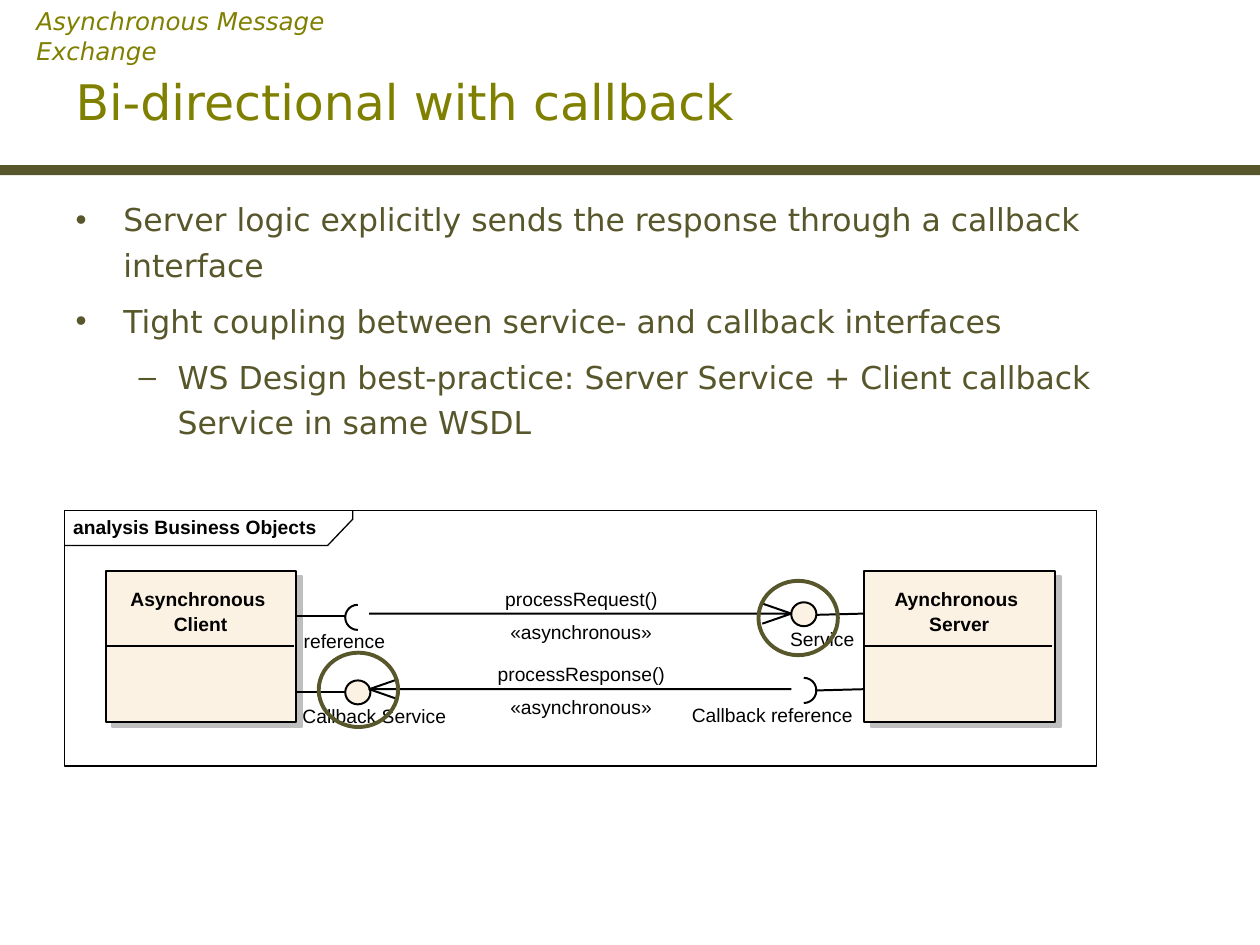
from lxml import etree
from pptx import Presentation
from pptx.dml.color import RGBColor
from pptx.enum.shapes import MSO_CONNECTOR, MSO_SHAPE
from pptx.enum.text import MSO_ANCHOR, MSO_AUTO_SIZE, PP_ALIGN
from pptx.oxml.ns import qn
from pptx.util import Inches, Pt

RECT, OVAL, ARC = MSO_SHAPE.RECTANGLE, MSO_SHAPE.OVAL, MSO_SHAPE.ARC
STRAIGHT = MSO_CONNECTOR.STRAIGHT
LEFT, TOP, MIDDLE = PP_ALIGN.LEFT, MSO_ANCHOR.TOP, MSO_ANCHOR.MIDDLE
NO_FIT, GROW = MSO_AUTO_SIZE.NONE, MSO_AUTO_SIZE.SHAPE_TO_FIT_TEXT

DARK, OLIVE, BLACK = "58572B", "808000", "000000"
CREAM, GREY = "FCF2E3", "C0BFC0"
THIN = 1.13
ARC_DEGREE = 0.6  # one degree in adjustment units
LABEL_SLACK = 0.04  # spare width that keeps a label on one line

TITLE_FONT = dict(name="DejaVu Sans", size=Pt(28), italic=False)
BODY_FONT = dict(name="DejaVu Sans", size=Pt(18))
TOPIC_FONT = dict(name="DejaVu Sans", size=Pt(14), italic=True)
LABEL_FONT = dict(name="Arial", size=Pt(11))

BULLETS = [
    (0, "Server logic explicitly sends the response through a callback interface"),
    (0, "Tight coupling between service- and callback interfaces"),
    (1, "WS Design best-practice: Server Service + Client callback Service in same WSDL"),
]
# level: bullet character, left margin, first-line indent
LEVELS = {0: ("•", 0.38, -0.38), 1: ("–", 0.81, -0.31)}


def rgb(color):
    return RGBColor.from_string(color)


def set_font(font, values, color):
    for key, value in values.items():
        setattr(font, key, value)
    font.color.rgb = rgb(color)


def place(s, x, y, w, h):
    s.left, s.top, s.width, s.height = (Inches(v) for v in (x, y, w, h))


def paint(s, fill=None, line=None, width=THIN):
    s.shadow.inherit = False
    if fill:
        s.fill.solid()
        s.fill.fore_color.rgb = rgb(fill)
    else:
        s.fill.background()
    if line:
        s.line.color.rgb = rgb(line)
        s.line.width = Pt(width)
    else:
        s.line.fill.background()
    return s


def shape(shapes, kind, x, y, w, h, **style):
    s = shapes.add_shape(kind, *(Inches(v) for v in (x, y, w, h)))
    return paint(s, **style)


def line(shapes, x1, y1, x2, y2):
    c = shapes.add_connector(STRAIGHT, *(Inches(v) for v in (x1, y1, x2, y2)))
    c.line.color.rgb = rgb(BLACK)
    c.line.width = Pt(THIN)
    etree.SubElement(c._element.spPr, qn("a:effectLst"))


def polyline(shapes, points, width=THIN):
    (x, y), *rest = [(Inches(px), Inches(py)) for px, py in points]
    builder = shapes.build_freeform(x, y)
    builder.add_line_segments(rest, close=False)
    paint(builder.convert_to_shape(), line=BLACK, width=width)


def label(shapes, x, y, w, text, bold=False):
    s = shapes.add_textbox(*(Inches(v) for v in (x, y, w + LABEL_SLACK, 0.18)))
    tf = s.text_frame
    tf.margin_left = tf.margin_right = tf.margin_top = tf.margin_bottom = 0
    tf.word_wrap = False
    tf.auto_size = GROW
    tf.text = text
    tf.paragraphs[0].alignment = LEFT
    set_font(tf.paragraphs[0].runs[0].font, dict(LABEL_FONT, bold=bold), BLACK)


def centred_label(shapes, center, y, w, text, bold=False):
    label(shapes, center - w / 2, y, w, text, bold)


def header(slide, x, y, w, h):
    shape(slide.shapes, RECT, 0, 1.31, 10, 0.08, fill=DARK)
    title = slide.shapes.title
    place(title, x, y, w, h)
    tf = title.text_frame
    tf.text = "Bi-directional with callback"
    tf.auto_size, tf.vertical_anchor = NO_FIT, MIDDLE
    tf.paragraphs[0].alignment = LEFT
    set_font(tf.paragraphs[0].runs[0].font, TITLE_FONT, OLIVE)


def topic(slide, x, y, w, h):
    s = slide.shapes.add_textbox(*(Inches(v) for v in (x, y, w, h)))
    tf = s.text_frame
    tf.word_wrap = True
    tf.text = "Asynchronous Message Exchange"
    set_font(tf.paragraphs[0].runs[0].font, TOPIC_FONT, OLIVE)


def set_bullet(p, level):
    char, margin, indent = LEVELS[level]
    pPr = p._p.get_or_add_pPr()
    pPr.set("marL", str(Inches(margin)))
    pPr.set("indent", str(Inches(indent)))
    color = etree.SubElement(pPr, qn("a:buClr"))
    etree.SubElement(color, qn("a:srgbClr"), val=DARK)
    etree.SubElement(pPr, qn("a:buChar"), char=char)


def bullet_list(slide, x, y, w, h):
    body = slide.placeholders[1]
    place(body, x, y, w, h)
    tf = body.text_frame
    tf.auto_size, tf.vertical_anchor = NO_FIT, TOP
    for i, (level, text) in enumerate(BULLETS):
        p = tf.add_paragraph() if i else tf.paragraphs[0]
        p.level = level
        set_bullet(p, level)
        p.alignment = LEFT
        p.line_spacing, p.space_before, p.space_after = Pt(26), Pt(0), Pt(6)
        r = p.add_run()
        r.text = text
        set_font(r.font, BODY_FONT, DARK)


def participant(shapes, x, y, names):
    w, h = 1.51, 1.2
    shape(shapes, RECT, x + 0.05, y + 0.04, w, h, fill=GREY, line=GREY)
    shape(shapes, RECT, x, y, w, h, fill=CREAM, line=BLACK)
    for i, (text, width) in enumerate(names):
        centred_label(shapes, x + w / 2, y + 0.13 + 0.2 * i, width, text, bold=True)
    line(shapes, x, y + 0.6, x + 1.49, y + 0.6)


def ball(shapes, x, y):
    shape(shapes, OVAL, x, y, 0.2, 0.19, fill=CREAM, line=BLACK)


def socket(shapes, x, y, start, end):
    s = shape(shapes, ARC, x, y, 0.2, 0.2, line=BLACK)
    s.adjustments[0], s.adjustments[1] = start * ARC_DEGREE, end * ARC_DEGREE


def message(shapes, tail, tip, y, name, width, bend):
    """Open-headed arrow; bend is the side on which its shaft turns into a barb."""
    barb = tip + (0.23 if tip < tail else -0.23)
    polyline(shapes, [(tail, y), (tip, y), (barb, y + bend)])
    line(shapes, tip, y, barb, y - bend)
    center = (tail + tip) / 2 + 0.01
    centred_label(shapes, center, y - 0.21, width, name)
    centred_label(shapes, center, y + 0.05, 1.13, "«asynchronous»")


def diagram(slide, x, y, w, h):
    g = slide.shapes.add_group_shape().shapes
    # Frame with its name tab
    shape(g, RECT, x, y, w, h, line=BLACK, width=0)
    polyline(g, [(x, y + 0.28), (x + 2.09, y + 0.28), (x + 2.29, y + 0.07),
                 (x + 2.29, y)], width=0)
    label(g, x + 0.07, y + 0.04, 1.94, "analysis Business Objects", bold=True)
    # Server and its interfaces
    participant(g, x + 6.35, y + 0.48, [("Aynchronous", 1.03), ("Server", 0.48)])
    for dy in (0.82, 1.42):
        line(g, x + 6.35, y + dy, x + 5.96, y + dy + 0.01)
    ball(g, x + 5.77, y + 0.73)
    label(g, x + 5.76, y + 0.93, 0.51, "Service")
    socket(g, x + 5.77, y + 1.33, 270, 90)
    label(g, x + 4.98, y + 1.53, 1.28, "Callback reference")
    # Client and its interfaces
    participant(g, x + 0.33, y + 0.48, [("Asynchronous", 1.12), ("Client", 0.43)])
    for dy in (0.84, 1.44):
        line(g, x + 1.84, y + dy, x + 2.23, y + dy)
    socket(g, x + 2.23, y + 0.75, 90, 270)
    label(g, x + 1.9, y + 0.94, 0.65, "reference")
    ball(g, x + 2.23, y + 1.35)
    label(g, x + 1.89, y + 1.54, 1.14, "Callback Service")
    # Messages
    message(g, x + 2.42, x + 5.77, y + 0.82, "processRequest()", 1.21, 0.08)
    message(g, x + 5.77, x + 2.42, y + 1.42, "processResponse()", 1.33, -0.08)
    # Rings around the two service interfaces
    for dx, dy in ((5.51, 0.56), (2.02, 1.13)):
        shape(slide.shapes, OVAL, x + dx, y + dy, 0.63, 0.59, line=DARK, width=2.25)


def main():
    prs = Presentation()
    prs.slide_width, prs.slide_height = Inches(10), Inches(7.5)
    slide = prs.slides.add_slide(prs.slide_layouts[1])
    header(slide, 0.5, 0.34, 9.08, 0.92)
    bullet_list(slide, 0.5, 1.48, 9.08, 5.19)
    diagram(slide, 0.51, 4.05, 8.19, 2.03)
    topic(slide, 0.19, 0, 3.09, 0.34)
    prs.save("out.pptx")


if __name__ == "__main__":
    main()
